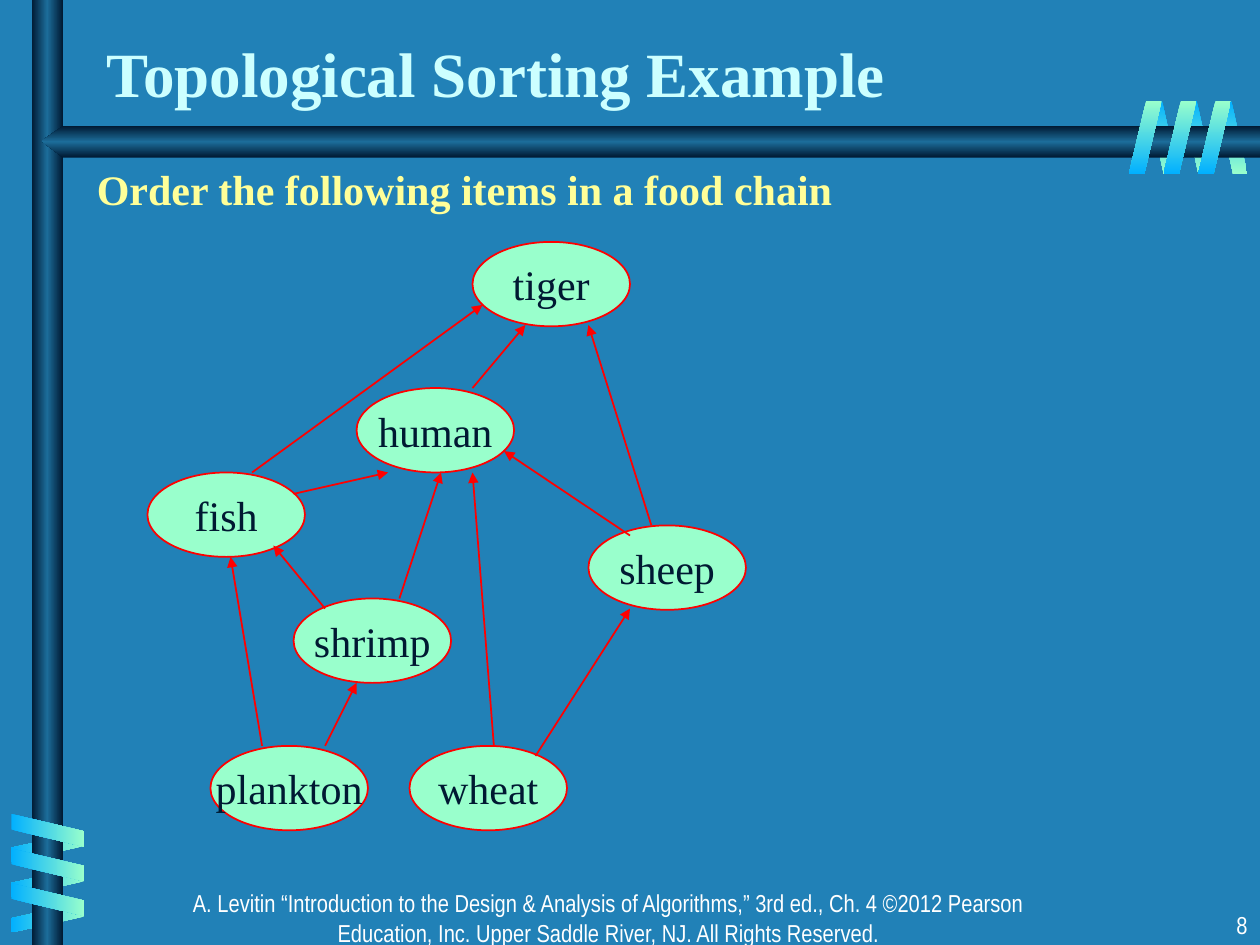
from lxml.etree import SubElement
from pptx import Presentation
from pptx.dml.color import RGBColor as Rgb
from pptx.enum.shapes import MSO_CONNECTOR as Link, MSO_SHAPE as Kind
from pptx.enum.text import MSO_ANCHOR as Anchor, PP_ALIGN as Align
from pptx.oxml import parse_xml
from pptx.oxml.ns import nsdecls, qn
from pptx.util import Inches, Pt


class Theme:
    back = "2181B7"
    dark, steel = "001932", "1C6D9A"
    blue, mint = "01B0FF", "99FFCC"
    red, white = "FF0000", "FFFFFF"
    title, lead = "CCFFFF", "FFFF99"
    serif, narrow = "Times New Roman", "Arial Narrow"
    big, mid, small = Pt(36), Pt(24), Pt(14)


def shade(shape, colors, angle):
    """Fill with evenly spaced stops that stay upright when the shape turns."""
    shape.shadow.inherit = False
    shape.line.fill.background()
    step = 100000 // (len(colors) - 1)
    stops = "".join(
        f'<a:gs pos="{i * step}"><a:srgbClr val="{c}"/></a:gs>'
        for i, c in enumerate(colors))
    grad = parse_xml(
        f'<a:gradFill {nsdecls("a")} rotWithShape="0"><a:gsLst>{stops}</a:gsLst>'
        f'<a:lin ang="{angle * 60000}" scaled="0"/></a:gradFill>')
    shape.fill.background()
    props = shape._element.spPr
    props.replace(props.find(qn("a:noFill")), grad)


def write(shape, text, size, font, color, align=Align.LEFT, bold=False):
    frame = shape.text_frame
    frame.text = text
    para = frame.paragraphs[0]
    para.alignment = align
    face = para.runs[0].font
    face.size, face.name, face.bold = size, font, bold
    face.color.rgb = Rgb.from_string(color)


deck = Presentation()
deck.slide_width, deck.slide_height = Inches(10), Inches(7.5)
slide = deck.slides.add_slide(deck.slide_layouts[6])
slide.background.fill.solid()
slide.background.fill.fore_color.rgb = Rgb.from_string(Theme.back)
shapes = slide.shapes

# Coils round the two bars: back strips, bars, front strips
# Each row: first left, first top, step right, step down, width, turn, flip, colors, angle
cool, warm = (Theme.blue, Theme.mint), (Theme.mint, Theme.blue)
behind = [(9.66, 0.8, -0.275, 0, 0.24, 180, True, cool, 90),
          (0.26, 6.43, 0, 0.28, 0.24, 90, True, warm, 0)]
front = [(0.25, 6.3, 0, 0.275, 0.26, 270, False, cool, 0),
         (9.51, 0.8, -0.275, 0, 0.26, 0, False, warm, 90)]
metal = (Theme.dark, Theme.steel, Theme.dark)

for coils in (behind, front):
    for left, top, right, down, wide, turn, flip, colors, angle in coils:
        for i in range(3):
            strip = shapes.add_shape(
                Kind.PARALLELOGRAM, Inches(left + i * right),
                Inches(top + i * down), Inches(wide), Inches(0.58))
            strip.adjustments[0] = 0.53
            strip.rotation = turn
            if flip:
                strip._element.spPr.xfrm.set("flipH", "1")
            shade(strip, colors, angle)
    if coils is behind:
        rail = shapes.add_shape(
            Kind.RECTANGLE, Inches(0.25), 0, Inches(0.25), Inches(7.5))
        shade(rail, metal, 0)
        pen = shapes.build_freeform(Inches(10), Inches(1))
        pen.add_line_segments(
            [(Inches(x), Inches(y)) for x, y in
             [(0.5, 1), (0.33, 1.12), (0.5, 1.25), (10, 1.25)]], close=True)
        shade(pen.convert_to_shape(), metal, 90)

# Footer, page number, title and lead line
notes = (Theme.small, Theme.narrow, Theme.white)
texts = [
    ((1.33, 7, 7, 0.33), Anchor.TOP,
     ("A. Levitin “Introduction to the Design & Analysis of Algorithms,” 3rd ed., "
      "Ch. 4 ©2012 Pearson Education, Inc. Upper Saddle River, NJ. "
      "All Rights Reserved.", *notes, Align.CENTER)),
    ((7.92, 7.17, 2.08, 0.33), Anchor.TOP, ("8", *notes, Align.RIGHT)),
    ((0.75, 0.17, 8.3, 0.75), Anchor.BOTTOM,
     ("Topological Sorting Example", Theme.big, Theme.serif, Theme.title,
      Align.LEFT, True)),
    ((0.67, 1.25, 9.08, 5.53), Anchor.TOP,
     ("Order the following items in a food chain", Theme.mid, Theme.serif,
      Theme.lead, Align.LEFT, True)),
]
for place, anchor, words in texts:
    box = shapes.add_textbox(*map(Inches, place))
    box.text_frame.word_wrap = True
    box.text_frame.vertical_anchor = anchor
    write(box, *words)

# Food chain members
nodes = {"fish": (1.17, 3.75), "human": (2.83, 3.08), "shrimp": (2.33, 4.75),
         "sheep": (4.67, 4.17), "wheat": (3.25, 5.92),
         "plankton": (1.67, 5.92), "tiger": (3.75, 1.92)}
for name, (left, top) in nodes.items():
    oval = shapes.add_shape(
        Kind.OVAL, Inches(left), Inches(top), Inches(1.25), Inches(0.67))
    oval.shadow.inherit = False
    oval.fill.solid()
    oval.fill.fore_color.rgb = Rgb.from_string(Theme.mint)
    oval.line.color.rgb = Rgb.from_string(Theme.red)
    oval.line.width = Pt(1)
    oval.text_frame.word_wrap = False
    oval.text_frame.vertical_anchor = Anchor.MIDDLE
    write(oval, name, Theme.mid, Theme.serif, Theme.dark, Align.CENTER)

# Arrows from eaten to eater: tip x, tip y, end x, end y
arrows = [
    (4.17, 2.58, 3.75, 3.08),  # human to tiger
    (3.08, 3.75, 2.33, 3.92),  # fish to human
    (4, 3.58, 5, 4.25),        # sheep to human
    (3.5, 3.75, 3.17, 4.75),   # shrimp to human
    (2.17, 4.33, 2.58, 4.83),  # shrimp to fish
    (1.83, 4.42, 2.08, 5.92),  # plankton to fish
    (3.75, 3.75, 3.92, 5.92),  # wheat to human
    (5, 4.83, 4.25, 6),        # wheat to sheep
    (3.83, 2.42, 2, 3.75),     # fish to tiger
    (4.67, 2.58, 5.17, 4.17),  # sheep to tiger
    (2.83, 5.42, 2.58, 5.92),  # plankton to shrimp
]
for ends in arrows:
    arrow = shapes.add_connector(Link.STRAIGHT, *map(Inches, ends))
    arrow.line.color.rgb = Rgb.from_string(Theme.red)
    arrow.line.width = Pt(1)
    props = arrow._element.spPr
    SubElement(props.find(qn("a:ln")), qn("a:headEnd"), type="triangle")
    SubElement(props, qn("a:effectLst"))

deck.save("out.pptx")
